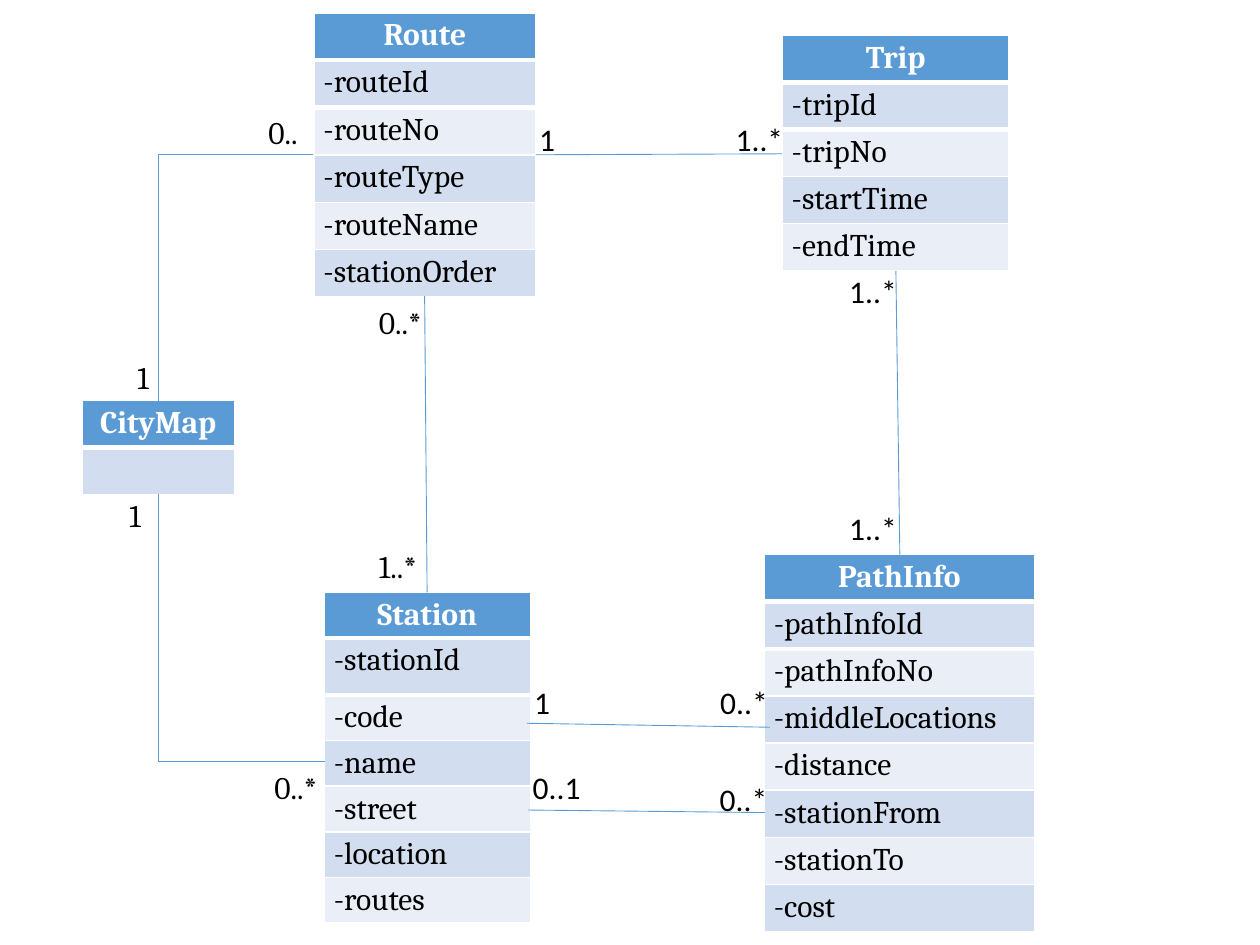
"""Build a class diagram of a public transport system on one slide."""
import lxml.etree
import pptx
import pptx.dml.color
import pptx.enum.shapes
import pptx.enum.text
import pptx.oxml.ns
import pptx.util

Cm = pptx.util.Cm
Pt = pptx.util.Pt
qn = pptx.oxml.ns.qn
ALIGN = pptx.enum.text.PP_ALIGN
CONNECTOR = pptx.enum.shapes.MSO_CONNECTOR


def rgb(value):
    return pptx.dml.color.RGBColor.from_string(value)


def write(frame, text, font="Cambria", size=18, color="000000", bold=False, align=ALIGN.LEFT):
    para = frame.paragraphs[0]
    para.alignment = align
    span = para.add_run()
    span.text = text
    span.font.name = font
    span.font.size = Pt(size)
    span.font.bold = bold
    span.font.color.rgb = rgb(color)


deck = pptx.Presentation()
deck.slide_width = Cm(25.4)
deck.slide_height = Cm(19.05)
page = deck.slides.add_slide(deck.slide_layouts[6])

classes = [
    ("Station", 6.54, 11.94, 4.15, 0.92,
     ["-stationId", "-code", "-name", "-street", "-location", "-routes"]),
    ("Trip", 15.77, 0.71, 4.57, 0.95, ["-tripId", "-tripNo", "-startTime", "-endTime"]),
    ("CityMap", 1.65, 8.07, 3.08, 0.95, [""]),
    ("Route", 6.33, 0.26, 4.47, 0.95,
     ["-routeId", "-routeNo", "-routeType", "-routeName", "-stationOrder"]),
    ("PathInfo", 15.41, 11.18, 5.44, 0.95,
     ["-pathInfoId", "-pathInfoNo", "-middleLocations", "-distance",
      "-stationFrom", "-stationTo", "-cost"]),
]
tall_rows = {"-stationId": 1.15, "-routeId": 0.96, "-routeType": 0.96, "-stationOrder": 0.96}

for name, left, top, width, row_height, fields in classes:
    entries = [name] + fields
    heights = [tall_rows.get(entry, row_height) for entry in entries]
    table = page.shapes.add_table(
        len(entries), 1, Cm(left), Cm(top), Cm(width), Cm(sum(heights))).table
    for index, entry in enumerate(entries):
        table.rows[index].height = Cm(heights[index])
        cell = table.cell(index, 0)
        cell.margin_left = cell.margin_right = Cm(0.19)
        cell.margin_top = cell.margin_bottom = Cm(0.09)
        if index < 2:
            edge = lxml.etree.SubElement(
                cell._tc.get_or_add_tcPr(), qn("a:lnT" if index else "a:lnB"), w=str(Pt(3)))
            paint = lxml.etree.SubElement(edge, qn("a:solidFill"))
            lxml.etree.SubElement(paint, qn("a:srgbClr"), val="FFFFFF")
        cell.fill.solid()
        if index == 0:
            cell.fill.fore_color.rgb = rgb("5B9BD5")
            write(cell.text_frame, entry, color="FFFFFF", bold=True, align=ALIGN.CENTER)
        else:
            cell.fill.fore_color.rgb = rgb("D2DEEF" if index % 2 else "EAEFF7")
            if entry:
                write(cell.text_frame, entry)

associations = [
    (CONNECTOR.STRAIGHT, 10.64, 16.33, 15.42, 16.38),
    (CONNECTOR.STRAIGHT, 18.06, 5.46, 18.14, 11.18),
    (CONNECTOR.STRAIGHT, 10.8, 3.12, 15.77, 3.1),
    (CONNECTOR.STRAIGHT, 8.56, 5.97, 8.61, 11.94),
    (CONNECTOR.STRAIGHT, 10.62, 14.58, 15.52, 14.66),
    (CONNECTOR.ELBOW, 6.32, 3.12, 3.2, 8.08),
    (CONNECTOR.ELBOW, 6.55, 15.35, 3.2, 9.96),
]
for kind, *ends in associations:
    line = page.shapes.add_connector(kind, *[Cm(end) for end in ends])
    line.line.color.rgb = rgb("5B9BD5")
    line.line.width = Pt(0.5)
    properties = line._element.spPr
    lxml.etree.SubElement(properties, qn("a:effectLst"))
    if kind == CONNECTOR.ELBOW:
        properties.find(qn("a:prstGeom")).set("prst", "bentConnector2")

multiplicities = [
    ("1", "Calibri", 10.52, 13.64, 0.84),
    ("0..1", "Calibri", 10.49, 15.36, 1.47),
    ("1..*", "Calibri", 16.87, 5.35, 1.47),
    ("1", "Calibri", 10.62, 2.3, 0.84),
    ("1..*", "Calibri", 14.58, 2.3, 1.47),
    ("0..*", "Calibri", 14.27, 13.64, 1.47),
    ("0..*", "Calibri", 14.26, 15.6, 1.47),
    ("1..*", "Calibri", 16.87, 10.13, 1.47),
    ("0..*", "Cambria", 7.39, 5.98, 1.42),
    ("1..*", "Cambria", 7.39, 10.9, 1.42),
    ("0..", "Cambria", 5.16, 2.16, 1.17),
    ("1", "Cambria", 2.52, 7.09, 0.86),
    ("0..*", "Cambria", 5.28, 15.35, 1.42),
    ("1", "Cambria", 2.36, 9.88, 0.86),
]
for text, font, left, top, width in multiplicities:
    box = page.shapes.add_textbox(Cm(left), Cm(top), Cm(width), Cm(1.02))
    box.text_frame.word_wrap = False
    box.text_frame.auto_size = pptx.enum.text.MSO_AUTO_SIZE.SHAPE_TO_FIT_TEXT
    write(box.text_frame, text, font=font)

deck.save("out.pptx")
